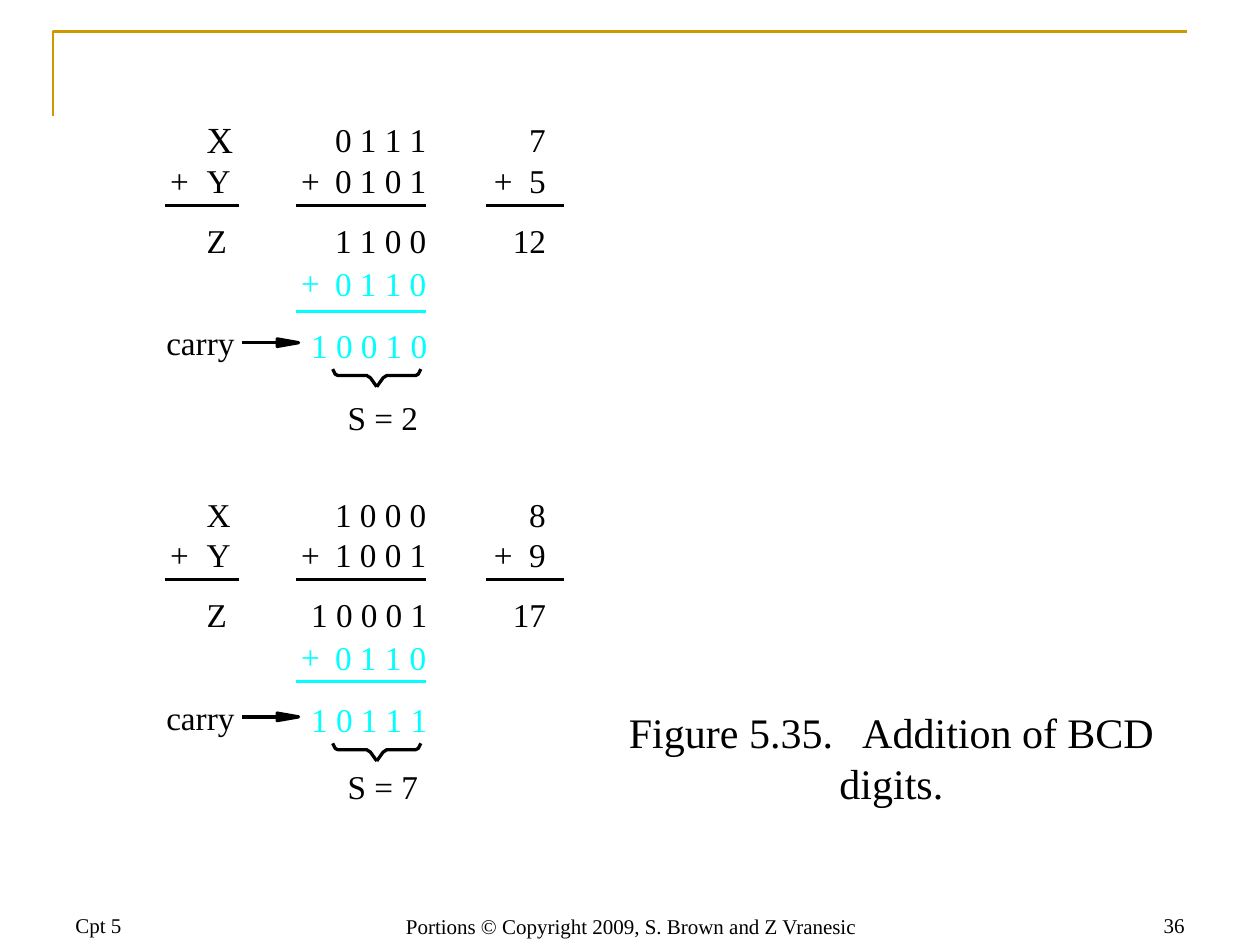
from lxml.etree import SubElement
from pptx import Presentation
from pptx.dml.color import RGBColor
from pptx.enum.shapes import MSO_CONNECTOR as Connector
from pptx.enum.text import MSO_ANCHOR as Anchor, MSO_AUTO_SIZE as AutoSize, PP_ALIGN as Align
from pptx.oxml.ns import qn
from pptx.util import Inches, Pt

FONT = "Times New Roman"
BLACK, CYAN, GOLD = "000000", "00FFFF", "CC9900"
STROKE = 1.87
WIDTHS = {1: 0.15, 2: 0.3, 5: 0.63, 7: 0.81, 9: 1.03}


def rgb(code):
    """Turn a hex string into a colour."""
    return RGBColor.from_string(code)


def write(frame, text, size, color, align=Align.LEFT):
    """Put one formatted paragraph into a text frame."""
    frame.text = text
    line = frame.paragraphs[0]
    line.alignment = align
    font = line.runs[0].font
    font.name, font.size = FONT, Pt(size)
    font.color.rgb = rgb(color)


def add_term(slide, text, left, top, color=BLACK, width=None, size=19):
    """Place an unwrapped piece of the sum."""
    height = 0.35 if size > 19 else 0.32
    term = slide.shapes.add_textbox(Inches(left), Inches(top),
                                    Inches(width or WIDTHS[len(text)]), Inches(height))
    frame = term.text_frame
    frame.margin_left = frame.margin_right = frame.margin_top = frame.margin_bottom = 0
    frame.word_wrap = False
    frame.auto_size = AutoSize.SHAPE_TO_FIT_TEXT
    write(frame, text, size, color)


def add_caption(slide, text, left, top, width, height, size, align, anchor=Anchor.TOP):
    """Place a wrapped text box with the usual margins."""
    caption = slide.shapes.add_textbox(Inches(left), Inches(top), Inches(width), Inches(height))
    caption.text_frame.word_wrap = True
    caption.text_frame.vertical_anchor = anchor
    write(caption.text_frame, text, size, BLACK, align)


def add_rule(slide, right, left, y, color=BLACK):
    """Draw a horizontal rule from right to left."""
    rule = slide.shapes.add_connector(Connector.STRAIGHT, Inches(right), Inches(y),
                                      Inches(left), Inches(y))
    rule.line.color.rgb = rgb(color)
    rule.line.width = Pt(STROKE)
    SubElement(rule._element.spPr, qn("a:effectLst"))


def add_outline(slide, points, color=BLACK, width=STROKE, filled=False):
    """Draw a polyline, closed and filled on request."""
    corners = [(Inches(x), Inches(y)) for x, y in points]
    builder = slide.shapes.build_freeform(*corners[0])
    builder.add_line_segments(corners[1:], close=filled)
    outline = builder.convert_to_shape()
    outline.shadow.inherit = False
    if filled:
        outline.fill.solid()
        outline.fill.fore_color.rgb = rgb(color)
    else:
        outline.fill.background()
    outline.line.color.rgb = rgb(color)
    outline.line.width = Pt(width)


def add_brace(slide, center, top):
    """Draw a downward brace as two mirrored halves."""
    half = [(0.35, 0), (0.33, 0.04), (0.31, 0.05), (0.08, 0.05), (0.05, 0.07), (0, 0.14)]
    for side in (1, -1):
        add_outline(slide, [(center + side * dx, top + dy) for dx, dy in half])


def add_carry(slide, y):
    """Label the carry and point an arrow at its digit."""
    add_outline(slide, [(2.2, y + 0.03), (2.37, y), (2.2, y - 0.03)], filled=True)
    add_rule(slide, 2.2, 1.92, y)
    add_term(slide, "carry", 1.32, y - 0.16)


def add_sum(slide, top, x, y, z, corrected, digit, rule_y, digit_y, x_size=19):
    """Lay out one BCD addition; x, y and z are (binary, decimal) pairs."""
    add_term(slide, "X", 1.64, top - (x_size - 19) / 100, width=0.17, size=x_size)
    add_term(slide, "Y", 1.64, top + 0.32)
    add_term(slide, "Z", 1.64, top + 0.8)
    for (binary, decimal), drop in ((x, 0), (y, 0.32), (z, 0.8)):
        add_term(slide, binary, 2.66 if len(binary) == 7 else 2.47, top + drop)
        add_term(slide, decimal, 4.2 if len(decimal) == 1 else 4.07, top + drop)
    for plus_left, right, left in ((1.35, 1.9, 1.31), (2.39, 3.38, 2.35), (3.92, 4.48, 3.86)):
        add_term(slide, "+", plus_left, top + 0.32)
        add_rule(slide, right, left, top + 0.68)
    add_term(slide, "+", 2.39, top + 1.13, CYAN)
    add_term(slide, "0 1 1 0", 2.66, top + 1.14, CYAN)
    add_rule(slide, 3.38, 2.35, rule_y, CYAN)
    add_term(slide, corrected, 2.47, top + 1.63, CYAN)
    add_carry(slide, top + 1.77)
    add_brace(slide, 2.99, top + 1.98)
    add_term(slide, digit, 2.76, digit_y, width=0.58)


def main():
    """Build the slide."""
    deck = Presentation()
    deck.slide_width, deck.slide_height = Inches(10), Inches(7.5)
    slide = deck.slides.add_slide(deck.slide_layouts[6])
    add_outline(slide, [(0.42, 0.92), (0.42, 0.25), (9.42, 0.25)], GOLD, 1.5)
    for text, left, top, width, align in (
            ("Cpt 5", 0.5, 6.99, 2.33, Align.LEFT),
            ("Portions © Copyright 2009, S. Brown and Z Vranesic", 2.83, 7, 4.36, Align.CENTER),
            ("36", 7.17, 6.99, 2.33, Align.RIGHT)):
        add_caption(slide, text, left, top, width, 0.5, 12, align, Anchor.BOTTOM)
    add_sum(slide, 0.95, ("0 1 1 1", "7"), ("0 1 0 1", "5"), ("1 1 0 0", "12"),
            "1 0 0 1 0", "S = 2", rule_y=2.47, digit_y=3.15, x_size=21)
    add_sum(slide, 3.92, ("1 0 0 0", "8"), ("1 0 0 1", "9"), ("1 0 0 0 1", "17"),
            "1 0 1 1 1", "S = 7", rule_y=5.41, digit_y=6.08)
    add_caption(slide, "Figure 5.35.   Addition of BCD digits.", 4.61, 5.56, 4.93, 0.91,
                24, Align.CENTER)
    deck.save("out.pptx")


if __name__ == "__main__":
    main()
